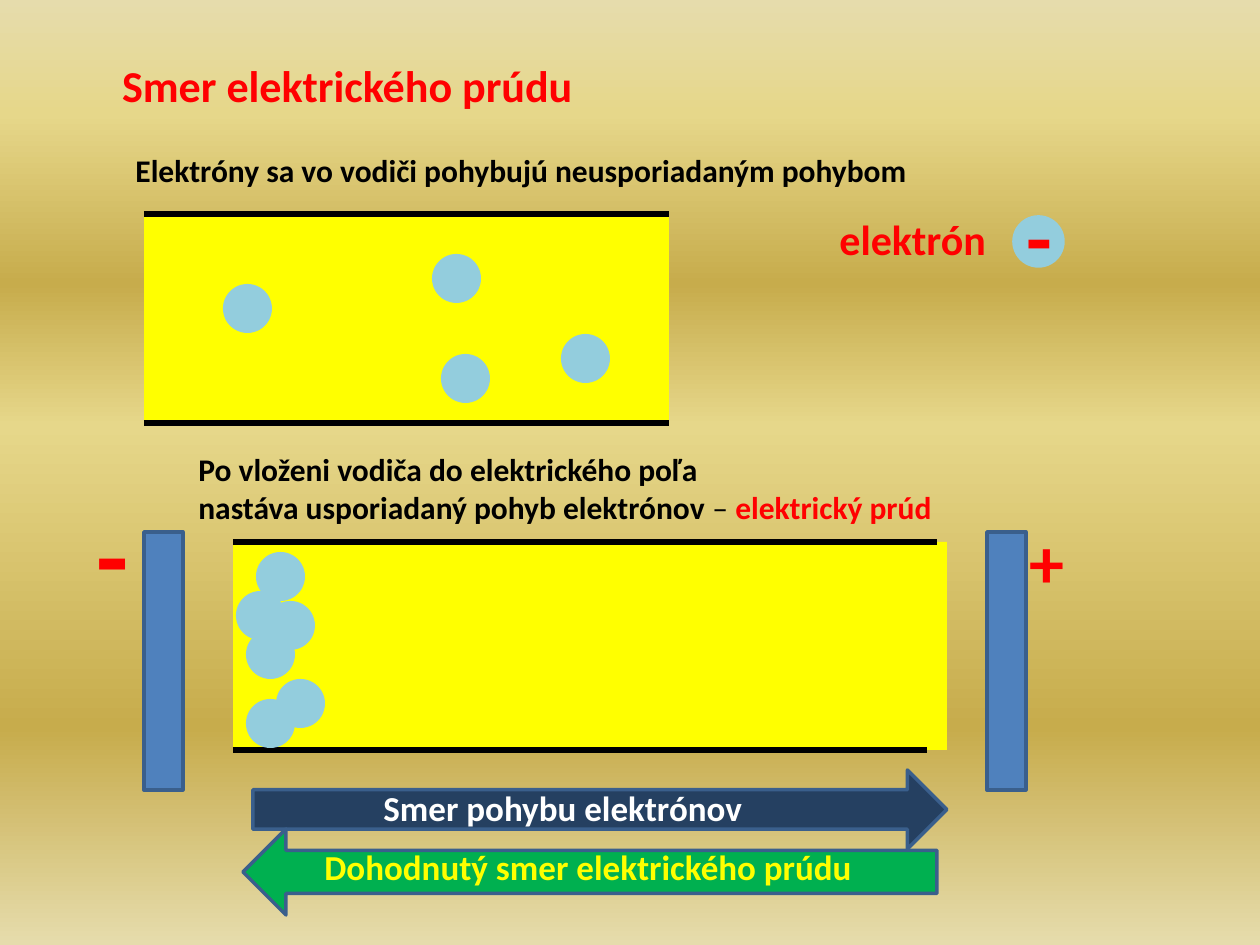
from lxml.etree import SubElement
from pptx import Presentation
from pptx.dml.color import RGBColor
from pptx.enum.shapes import MSO_CONNECTOR, MSO_SHAPE
from pptx.enum.text import MSO_ANCHOR, PP_ALIGN
from pptx.oxml.ns import qn
from pptx.util import Emu, Pt

SCALE = 914400 / 126
RED = RGBColor(0xFF, 0x00, 0x00)
BLACK = RGBColor(0x00, 0x00, 0x00)
WHITE = RGBColor(0xFF, 0xFF, 0xFF)
YELLOW = RGBColor(0xFF, 0xFF, 0x00)
GREEN = RGBColor(0x00, 0xB0, 0x50)
NAVY = RGBColor(0x25, 0x40, 0x61)
BLUE = RGBColor(0x4F, 0x81, 0xBD)
OUTLINE = RGBColor(0x3A, 0x5F, 0x8C)
ELECTRON = RGBColor(0x93, 0xCD, 0xDD)
PALE = RGBColor(0xE6, 0xDC, 0xAC)
SAND = RGBColor(0xE6, 0xD7, 0x8A)
GOLD = RGBColor(0xC7, 0xAC, 0x4C)

deck = Presentation()
deck.slide_width = Emu(round(1260 * SCALE))
deck.slide_height = Emu(round(945 * SCALE))
page = deck.slides.add_slide(deck.slide_layouts[6])


def add_shape(kind, bounds, color, outline=None):
    shape = page.shapes.add_shape(kind, *[Emu(round(v * SCALE)) for v in bounds])
    shape.shadow.inherit = False
    shape.fill.solid()
    shape.fill.fore_color.rgb = color
    if outline is None:
        shape.line.fill.background()
    else:
        shape.line.color.rgb = outline
        shape.line.width = Pt(2)


def add_text(bounds, size, lines, wrap=True):
    box = page.shapes.add_textbox(*[Emu(round(v * SCALE)) for v in bounds])
    frame = box.text_frame
    frame.word_wrap = wrap
    for index, line in enumerate(lines):
        para = frame.add_paragraph() if index else frame.paragraphs[0]
        for text, color, bold in line:
            span = para.add_run()
            span.text = text
            span.font.name = "Calibri"
            span.font.size = Pt(size)
            span.font.bold = bold
            span.font.color.rgb = color
    return frame


background = page.background.fill
background.gradient()
background.gradient_angle = 270
stops = page.element.find(".//" + qn("a:gsLst"))
for stop in list(stops):
    stops.remove(stop)
for percent, color in [(0, PALE), (12, SAND), (30, GOLD), (45, SAND), (77, GOLD), (100, PALE)]:
    stop = SubElement(stops, qn("a:gs"), pos=str(percent * 1000))
    SubElement(stop, qn("a:srgbClr"), val=str(color))

title = add_text((95, 55, 505, 59), 25.2, [[("Smer elektrického prúdu", RED, True)]])
title.vertical_anchor = MSO_ANCHOR.MIDDLE
title.paragraphs[0].alignment = PP_ALIGN.CENTER

for conductor in [(144, 214, 525, 208), (233, 542, 714, 208)]:
    add_shape(MSO_SHAPE.RECTANGLE, conductor, YELLOW)

for left, right, y in [(144, 669, 214), (144, 669, 423), (233, 927, 750), (233, 937, 542)]:
    edge = page.shapes.add_connector(
        MSO_CONNECTOR.STRAIGHT, *[Emu(round(v * SCALE)) for v in (left, y, right, y)])
    edge.line.color.rgb = BLACK
    edge.line.width = Pt(3)
    SubElement(edge.element.spPr, qn("a:effectLst"))

free_electrons = [(223, 284), (561, 334), (432, 254), (441, 354)]
drifting_electrons = [(276, 679), (236, 591), (246, 699), (246, 630), (266, 601), (256, 552)]
for left, top in free_electrons + drifting_electrons:
    add_shape(MSO_SHAPE.OVAL, (left, top, 49, 49), ELECTRON)

for left in (144, 987):
    add_shape(MSO_SHAPE.RECTANGLE, (left, 532, 39, 258), BLUE, OUTLINE)

add_shape(MSO_SHAPE.OVAL, (1014, 217, 49, 49), ELECTRON, ELECTRON)
add_shape(MSO_SHAPE.RIGHT_ARROW, (253, 770, 694, 79), NAVY, OUTLINE)
add_shape(MSO_SHAPE.LEFT_ARROW, (243, 829, 694, 86), GREEN, OUTLINE)

add_text((827, 207, 197, 63), 24, [[("elektrón", RED, True)]])
add_text((371, 780, 417, 55), 20, [[("Smer pohybu elektrónov", WHITE, True)]])
add_text((312, 839, 605, 55), 20, [[("Dohodnutý smer elektrického prúdu", YELLOW, True)]])
add_text((123, 145, 803, 50), 18,
         [[("Elektróny sa vo vodiči pohybujú neusporiadaným pohybom", BLACK, True)]], False)
add_text((186, 444, 857, 89), 18, [
    [("Po vloženi vodiča do elektrického poľa", BLACK, True)],
    [("nastáva usporiadaný pohyb elektrónov ", BLACK, True),
     ("– ", BLACK, False),
     ("elektrický prúd", RED, True)],
])

for sign, size, bounds in [
    ("-", 60, (84, 483, 58, 140)),
    ("+", 40, (1017, 512, 60, 97)),
    ("-", 48, (1014, 178, 52, 115)),
]:
    add_text(bounds, size, [[(sign, RED, True)]], False)

deck.save("out.pptx")
